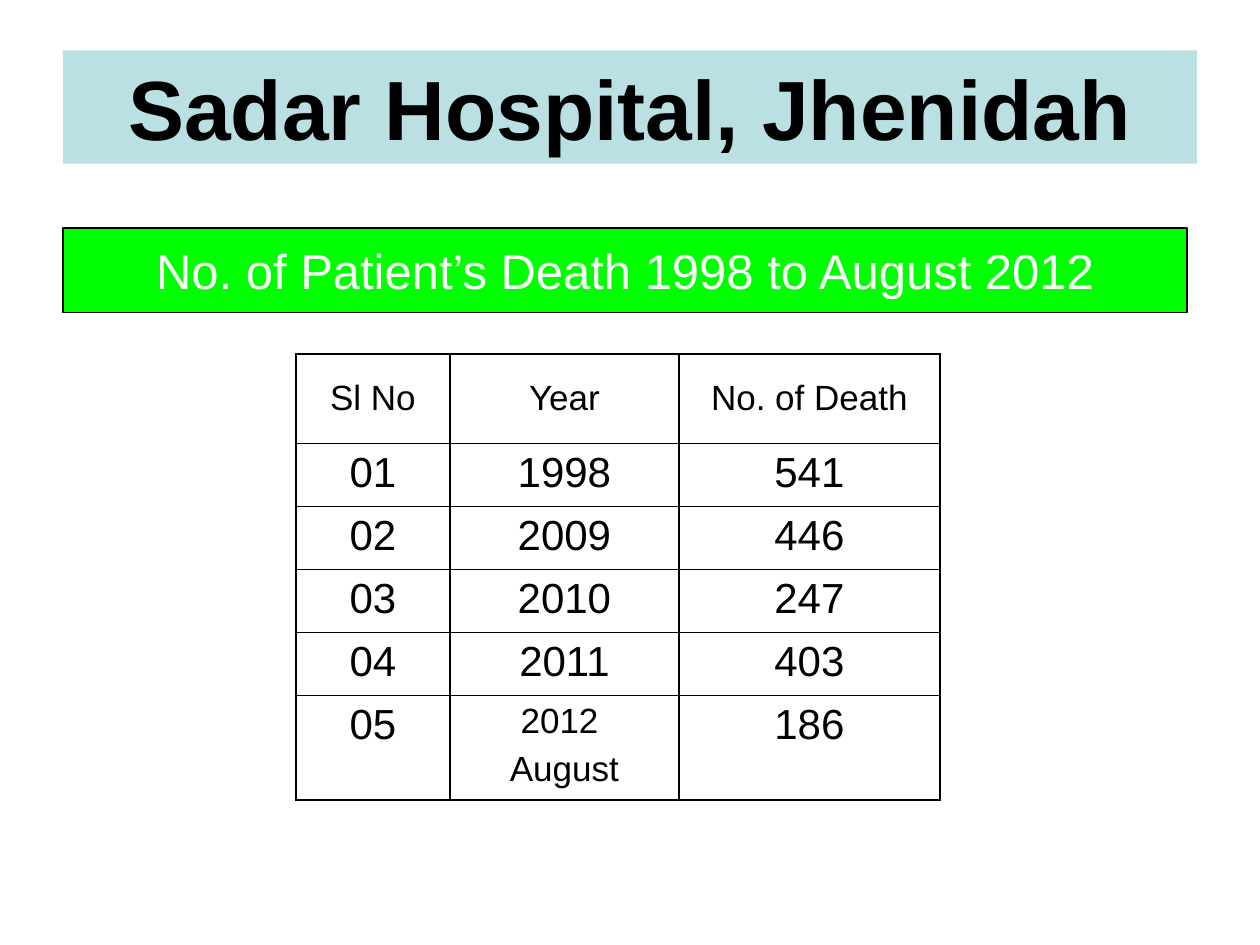
from dataclasses import dataclass

from lxml import etree
from pptx import Presentation
from pptx.dml.color import RGBColor
from pptx.enum.shapes import MSO_SHAPE
from pptx.enum.text import MSO_ANCHOR, PP_ALIGN
from pptx.oxml.ns import qn
from pptx.util import Inches, Pt

RECT = MSO_SHAPE.RECTANGLE
CENTER = PP_ALIGN.CENTER
MIDDLE, TOP = MSO_ANCHOR.MIDDLE, MSO_ANCHOR.TOP

FONT = "Arial"
COLORS = {"black": "000000", "white": "FFFFFF", "pale_blue": "BBE0E3", "green": "00FF00"}
BORDER_PT = 1.08


@dataclass
class Banner:
    text: str
    left: float
    top: float
    width: float
    height: float
    fill: str
    color: str
    size: int
    bold: bool = False
    outlined: bool = False


BANNERS = [
    Banner("Sadar Hospital, Jhenidah", 0.5, 0.4, 9, 0.9, "pale_blue", "black", 48, bold=True),
    Banner("No. of Patient’s Death 1998 to August 2012", 0.5, 1.81, 8.92, 0.67,
           "green", "white", 28, outlined=True),
]

COL_WIDTHS = [1.22, 1.82, 2.07]
ROW_HEIGHTS = [0.71] + [0.5] * 4 + [0.83]
HEADER = ["Sl No", "Year", "No. of Death"]
DEATHS = [("1998", "541"), ("2009", "446"), ("2010", "247"), ("2011", "403"),
          ("2012 \nAugust", "186")]


def rgb(name: str) -> RGBColor:
    return RGBColor.from_string(COLORS[name])


def write_text(tf, text: str, size: int, color: str, bold: bool = False) -> None:
    tf.text = text
    for i, p in enumerate(tf.paragraphs):
        p.alignment = CENTER
        p.space_before = Pt(5 if i else 0)
        p.font.name = FONT
        p.font.size = Pt(size)
        p.font.bold = bold
        p.font.color.rgb = rgb(color)


def add_banner(s, b: Banner) -> None:
    sp = s.shapes.add_shape(RECT, Inches(b.left), Inches(b.top), Inches(b.width), Inches(b.height))
    sp.shadow.inherit = False
    sp.fill.solid()
    sp.fill.fore_color.rgb = rgb(b.fill)
    if b.outlined:
        sp.line.color.rgb = rgb("black")
        sp.line.width = Pt(0.75)
    else:
        sp.line.fill.background()
    tf = sp.text_frame
    tf.word_wrap = True
    tf.vertical_anchor = MIDDLE
    write_text(tf, b.text, b.size, b.color, b.bold)


def add_borders(cell) -> None:
    """Draw all four cell borders; they must precede the fill in tcPr."""
    tc_pr = cell._tc.get_or_add_tcPr()
    for i, side in enumerate(("lnL", "lnR", "lnT", "lnB")):
        ln = etree.Element(qn(f"a:{side}"), w=str(Pt(BORDER_PT)))
        fill = etree.SubElement(ln, qn("a:solidFill"))
        etree.SubElement(fill, qn("a:srgbClr"), val=COLORS["black"])
        tc_pr.insert(i, ln)


def add_death_table(s, left: float, top: float) -> None:
    rows = [HEADER] + [[f"{n:02d}", *row] for n, row in enumerate(DEATHS, 1)]
    table = s.shapes.add_table(len(rows), len(HEADER), Inches(left), Inches(top),
                               Inches(sum(COL_WIDTHS)), Inches(sum(ROW_HEIGHTS))).table
    table.first_row = table.horz_banding = False
    for col, width in zip(table.columns, COL_WIDTHS):
        col.width = Inches(width)
    for r, (row, height) in enumerate(zip(rows, ROW_HEIGHTS)):
        table.rows[r].height = Inches(height)
        for c, text in enumerate(row):
            cell = table.cell(r, c)
            cell.vertical_anchor = TOP if r else MIDDLE
            cell.fill.background()
            add_borders(cell)
            size = 20 if r == 0 or "\n" in text else 24
            write_text(cell.text_frame, text, size, "black")


def main() -> None:
    prs = Presentation()
    prs.slide_width, prs.slide_height = Inches(10), Inches(7.5)
    s = prs.slides.add_slide(prs.slide_layouts[6])
    title, subtitle = BANNERS
    add_banner(s, title)
    add_death_table(s, 2.35, 2.81)
    add_banner(s, subtitle)
    prs.save("out.pptx")


if __name__ == "__main__":
    main()
